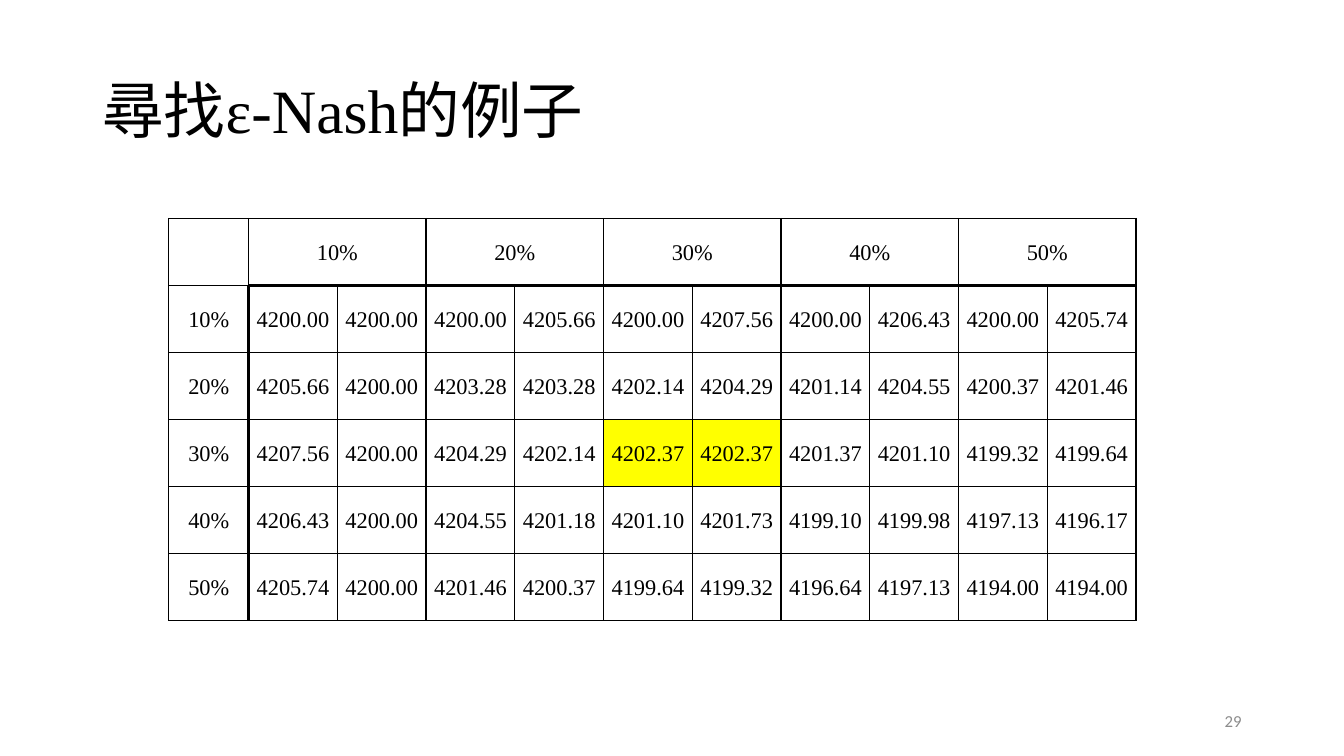
from lxml import etree
from pptx import Presentation
from pptx.dml.color import RGBColor
from pptx.enum import text
from pptx.oxml.ns import qn
from pptx.util import Pt

SERIF, CJK = "Times New Roman", "Noto Sans CJK SC"
SHARES = ["10%", "20%", "30%", "40%", "50%"]
PAYOFFS = [
    "4200.00 4200.00 4200.00 4205.66 4200.00 4207.56 4200.00 4206.43 4200.00 4205.74",
    "4205.66 4200.00 4203.28 4203.28 4202.14 4204.29 4201.14 4204.55 4200.37 4201.46",
    "4207.56 4200.00 4204.29 4202.14 4202.37 4202.37 4201.37 4201.10 4199.32 4199.64",
    "4206.43 4200.00 4204.55 4201.18 4201.10 4201.73 4199.10 4199.98 4197.13 4196.17",
    "4205.74 4200.00 4201.46 4200.37 4199.64 4199.32 4196.64 4197.13 4194.00 4194.00",
]
EQUILIBRIUM = {(3, 5), (3, 6)}
THIN, THICK = 1, 2.25


def rgb(value):
    return RGBColor.from_string(value)


def style_run(r, size, font, color="000000"):
    r.font.size = Pt(size)
    r.font.name = font
    r.font.color.rgb = rgb(color)


def add_text(s, x, y, w, h, runs, size, align, color="000000"):
    """Add a one-paragraph box; runs holds (text, font) pairs."""
    tf = s.shapes.add_textbox(Pt(x), Pt(y), Pt(w), Pt(h)).text_frame
    tf.word_wrap = True
    tf.vertical_anchor = text.MSO_ANCHOR.MIDDLE
    p = tf.paragraphs[0]
    p.alignment = align
    for words, font in runs:
        r = p.add_run()
        r.text = words
        style_run(r, size, font, color)
    return p


def set_borders(cell, widths):
    """Draw the left, right, top and bottom borders, in that order."""
    tc_pr = cell._tc.get_or_add_tcPr()
    for side, width in zip("LRTB", widths):
        ln = etree.SubElement(tc_pr, qn(f"a:ln{side}"), w=str(Pt(width)))
        fill = etree.SubElement(ln, qn("a:solidFill"))
        etree.SubElement(fill, qn("a:srgbClr"), val="000000")


def fill_cell(cell, words, color):
    if color:
        cell.fill.solid()
        cell.fill.fore_color.rgb = rgb(color)
    else:
        cell.fill.background()
    cell.vertical_anchor = text.MSO_ANCHOR.MIDDLE
    cell.margin_left = cell.margin_right = Pt(5)
    cell.margin_top = cell.margin_bottom = 0
    p = cell.text_frame.paragraphs[0]
    p.text = words
    p.alignment = text.PP_ALIGN.CENTER
    p.line_spacing = 1.07
    for r in p.runs:
        style_run(r, 16, SERIF)


def add_payoff_table(s, x, y, label_w, value_w, row_h):
    header = [""]
    for share in SHARES:
        header += [share, ""]
    rows = [header] + [[share] + line.split() for share, line in zip(SHARES, PAYOFFS)]
    n_rows, n_cols = len(rows), len(header)
    frame = s.shapes.add_table(n_rows, n_cols, Pt(x), Pt(y),
                               Pt(label_w + value_w * (n_cols - 1)), Pt(row_h * n_rows))
    table = frame.table
    table.first_row = table.horz_banding = False
    for j, column in enumerate(table.columns):
        column.width = Pt(value_w if j else label_w)
    for i, row in enumerate(rows):
        table.rows[i].height = Pt(row_h)
        for j, words in enumerate(row):
            cell = table.cell(i, j)
            set_borders(cell, (THICK if i and j == 1 else THIN,
                               THICK if i and j == 0 else THIN,
                               THICK if j and i == 1 else THIN,
                               THICK if j and i == 0 else THIN))
            fill_cell(cell, words, "FFFF00" if (i, j) in EQUILIBRIUM else None)
    for j in range(1, n_cols, 2):
        table.cell(0, j).merge(table.cell(0, j + 1))


def main():
    prs = Presentation()
    prs.slide_width, prs.slide_height = Pt(960), Pt(540)
    s = prs.slides.add_slide(prs.slide_layouts[6])
    title = add_text(s, 66, 28.75, 828, 104.4, [("尋找", CJK), ("ε-Nash的例子", SERIF)],
                     44, text.PP_ALIGN.LEFT)
    title.line_spacing = 0.9
    for r in title.runs:
        etree.SubElement(r.font._element, qn("a:ea"), typeface=CJK)
    add_payoff_table(s, 120.6, 156, 57, 63.4, 47.9)
    add_text(s, 678, 500.5, 216, 28.75, [("29", "Calibri")], 12, text.PP_ALIGN.RIGHT, "8C8C8C")
    prs.save("out.pptx")


if __name__ == "__main__":
    main()
